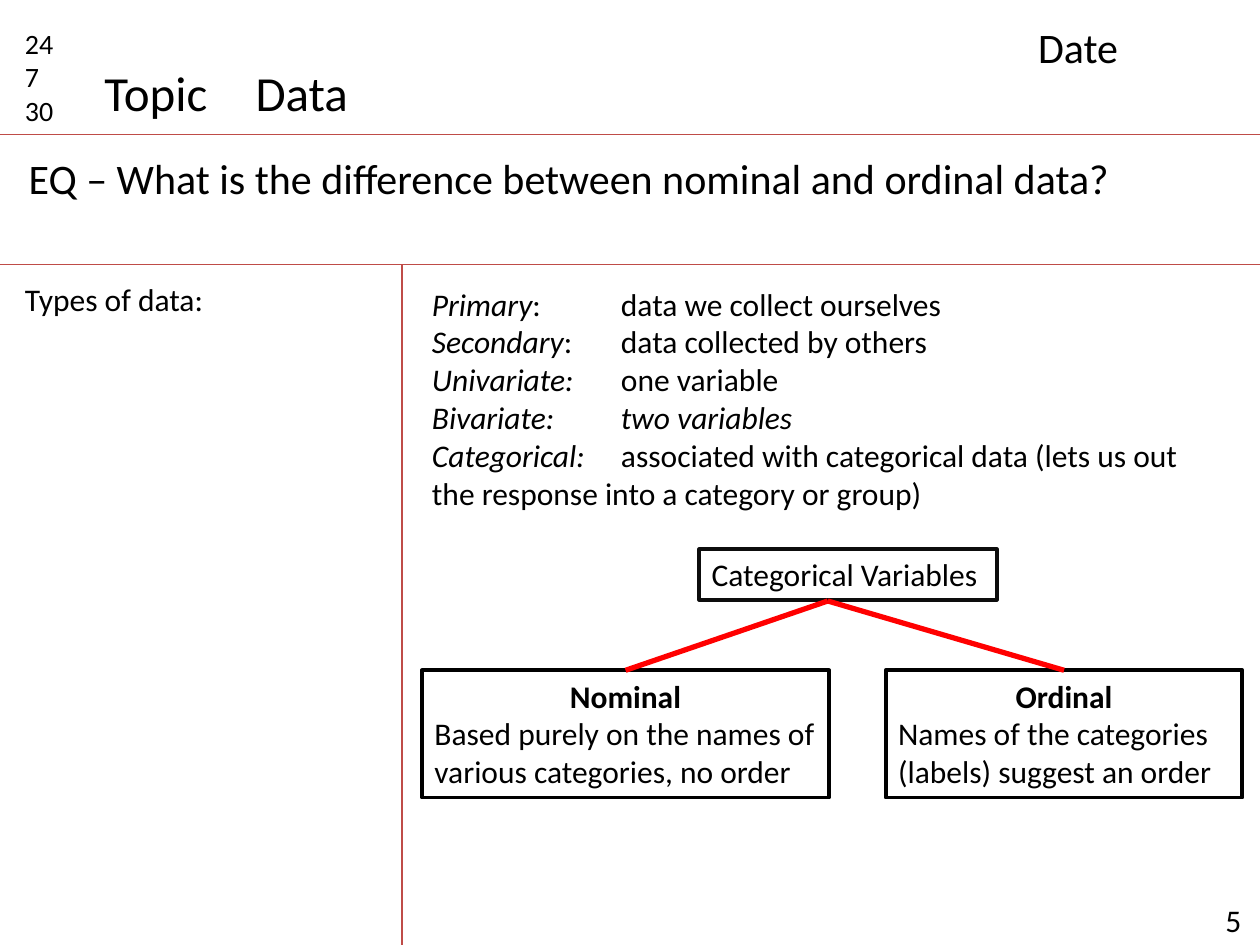
from dataclasses import dataclass
from typing import NamedTuple

from lxml.etree import SubElement
from pptx import Presentation
from pptx.dml.color import RGBColor
from pptx.enum.shapes import MSO_CONNECTOR, MSO_SHAPE
from pptx.enum.text import MSO_ANCHOR, MSO_AUTO_SIZE, PP_ALIGN
from pptx.oxml.ns import qn
from pptx.util import Inches, Pt

BLACK = RGBColor(0x00, 0x00, 0x00)
NEAR_BLACK = RGBColor(0x0D, 0x0D, 0x0D)
RULE_RED = RGBColor(0xBF, 0x4C, 0x48)
BRANCH_RED = RGBColor(0xFF, 0x00, 0x00)
FONT = "Calibri"
COLUMNS, ROWS = 100, 75
CELL = Inches(10) // COLUMNS
HEADER_ROW, QUESTION_ROW, NOTES_COLUMN = 10.7, 21, 31.9


class Area(NamedTuple):
    column: float
    row: float
    width: float
    height: float


class Span(NamedTuple):
    text: str
    italic: bool = False
    bold: bool = False


@dataclass(frozen=True)
class Label:
    area: Area
    lines: tuple[tuple[Span, ...], ...]
    size: int = 18
    wrap: bool = True


@dataclass(frozen=True)
class Box:
    area: Area
    lines: tuple[tuple[Span, ...], ...]
    outline: RGBColor = BLACK


def plain(*texts: str) -> tuple[tuple[Span, ...], ...]:
    """Return one upright line for each text."""
    return tuple((Span(text),) for text in texts)


def definition(term: str, meaning: str) -> tuple[Span, ...]:
    """Return a line with an italic term and an upright meaning."""
    return Span(term, italic=True), Span(meaning)


def category(title: str, meaning: str) -> tuple[tuple[Span, ...], ...]:
    """Return a bold title line above its meaning."""
    return (Span(title, bold=True),), (Span(meaning),)


LABELS = (
    Label(Area(95.7, 71, 6, 4), plain(" 5")),
    Label(Area(1, 1.6, 6.3, 9.1), plain("24", "7", "30"), 16),
    Label(Area(7.3, 4.5, 10.3, 5.7), plain("Topic"), 28, wrap=False),
    Label(Area(81.4, 1.2, 17.3, 5), plain("Date"), 24),
    Label(Area(1.3, 11.6, 97.4, 5),
          plain("EQ – What is the difference between nominal and ordinal data?"), 24),
    Label(Area(19.3, 4.5, 55.1, 5.7), plain("Data"), 28),
    Label(Area(33.3, 22.1, 67.9, 22.2), (
        definition("Primary", ": \t\tdata we collect ourselves"),
        definition("Secondary", ": \tdata collected by others"),
        definition("Univariate:\t", "one variable"),
        (Span("Bivariate:\t\ttwo variables", italic=True),),
        definition("Categorical:\t", "associated with categorical data (lets us out "
                   "\t\tthe response into a category or group)"),
    )),
    Label(Area(1, 21.7, 29.3, 4), plain("Types of data:")),
)
ROOT = Box(Area(55.5, 43.6, 23.6, 4), plain("Categorical Variables"), NEAR_BLACK)
BRANCHES = (
    Box(Area(70.3, 53.2, 28.3, 10.1),
        category("Ordinal", "Names of the categories (labels) suggest an order")),
    Box(Area(33.5, 53.2, 32.3, 10.1),
        category("Nominal", "Based purely on the names of various categories, no order")),
)
FORK = (65.7, 47.7)


def cells(*counts: float) -> list[int]:
    """Convert grid counts to lengths."""
    return [round(count * CELL) for count in counts]


def write_lines(frame, lines: tuple[tuple[Span, ...], ...], size: int, wrap: bool = True) -> None:
    """Fill a text frame, centring the lines that start in bold."""
    frame.word_wrap = wrap
    frame.auto_size = MSO_AUTO_SIZE.SHAPE_TO_FIT_TEXT
    frame.vertical_anchor = MSO_ANCHOR.TOP
    for index, line in enumerate(lines):
        paragraph = frame.add_paragraph() if index else frame.paragraphs[0]
        paragraph.alignment = PP_ALIGN.CENTER if line[0].bold else PP_ALIGN.LEFT
        for span in line:
            run = paragraph.add_run()
            run.text = span.text
            run.font.name = FONT
            run.font.size = Pt(size)
            run.font.italic = span.italic
            run.font.bold = span.bold
            run.font.color.rgb = BLACK


def draw_label(slide, label: Label) -> None:
    """Draw unframed text."""
    shape = slide.shapes.add_textbox(*cells(*label.area))
    write_lines(shape.text_frame, label.lines, label.size, label.wrap)


def draw_box(slide, box: Box) -> None:
    """Draw outlined text."""
    shape = slide.shapes.add_shape(MSO_SHAPE.RECTANGLE, *cells(*box.area))
    shape.shadow.inherit = False
    shape.fill.background()
    shape.line.color.rgb = box.outline
    shape.line.width = Pt(2.25)
    write_lines(shape.text_frame, box.lines, 18)


def draw_line(slide, start: tuple[float, float], end: tuple[float, float],
              color: RGBColor, width: float) -> None:
    """Draw a straight line without a shadow."""
    connector = slide.shapes.add_connector(MSO_CONNECTOR.STRAIGHT, *cells(*start, *end))
    connector.line.color.rgb = color
    connector.line.width = Pt(width)
    SubElement(connector.element.spPr, qn("a:effectLst"))


def main() -> None:
    """Build the notes slide."""
    presentation = Presentation()
    presentation.slide_width, presentation.slide_height = cells(COLUMNS, ROWS)
    slide = presentation.slides.add_slide(presentation.slide_layouts[6])
    for row in (HEADER_ROW, QUESTION_ROW):
        draw_line(slide, (0, row), (COLUMNS, row), RULE_RED, 0.75)
    draw_line(slide, (NOTES_COLUMN, QUESTION_ROW), (NOTES_COLUMN, 76.9), RULE_RED, 0.75)
    for label in LABELS:
        draw_label(slide, label)
    for box in (ROOT, *BRANCHES):
        draw_box(slide, box)
    for branch in BRANCHES:
        area = branch.area
        draw_line(slide, FORK, (area.column + area.width / 2, area.row), BRANCH_RED, 3)
    presentation.save("out.pptx")


if __name__ == "__main__":
    main()
